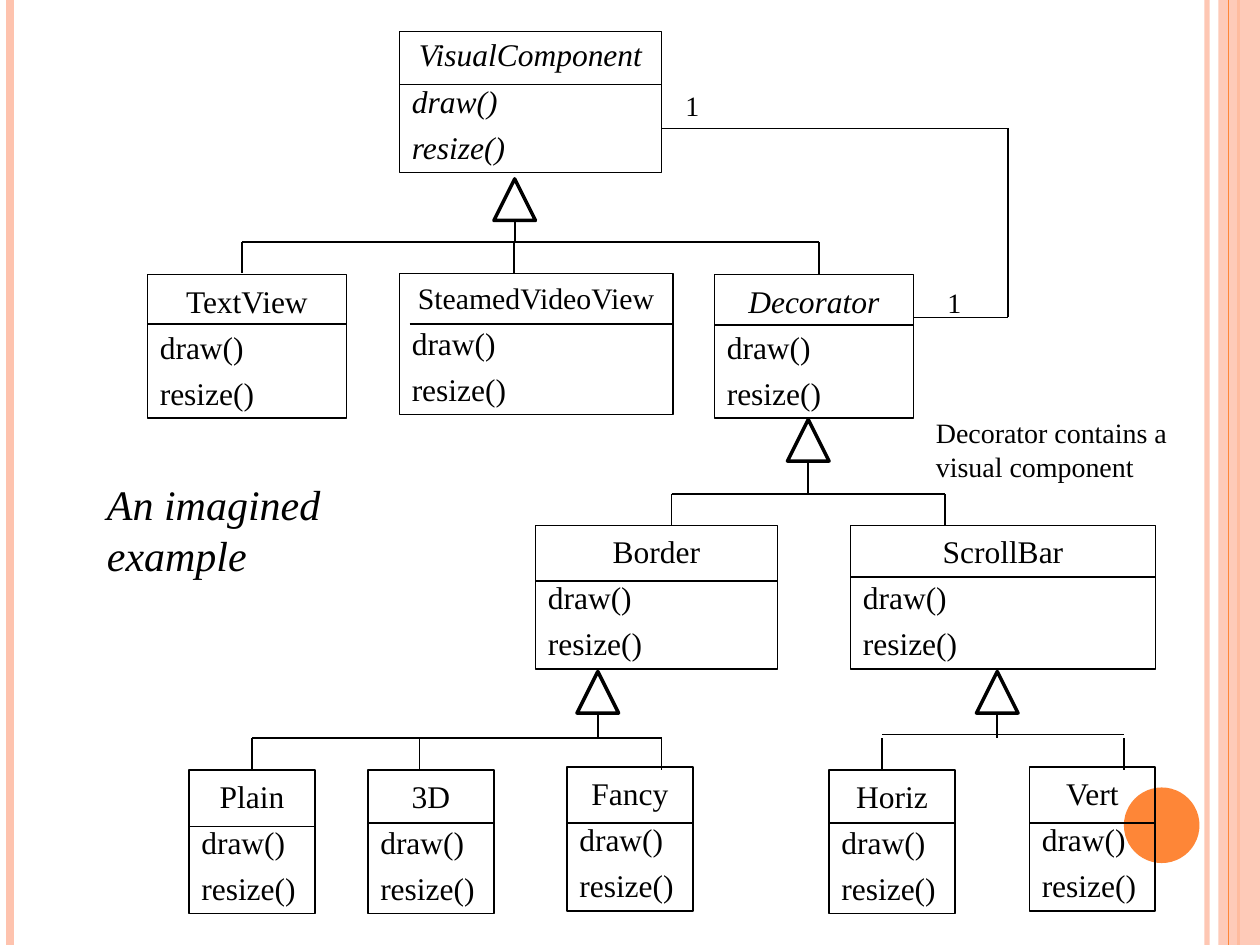
from lxml import etree
from pptx import Presentation
from pptx.dml.color import RGBColor
from pptx.enum import shapes as s, text as t
from pptx.oxml.ns import qn
from pptx.util import Inches, Pt

FONT = "Times New Roman"
INK, ORANGE, PEACH = "000000", "FE8637", "FEC3AE"
HEAD = 0.33  # side of an inheritance triangle

# name: left, top, width, height, divider offset, divider inset, italic lines, title size
CLASSES = {
    "VisualComponent": (3.17, 0.25, 2.08, 1.12, 0.42, 0, 3, 18),
    "TextView": (1.17, 2.18, 1.58, 1.14, 0.39, 0, 0, 18),
    "SteamedVideoView": (3.17, 2.17, 2.17, 1.12, 0.4, 0.08, 0, 17),
    "Decorator": (5.67, 2.18, 1.58, 1.14, 0.4, 0, 1, 18),
    "Border": (4.25, 4.17, 1.92, 1.14, 0.44, 0, 0, 18),
    "ScrollBar": (6.75, 4.17, 2.42, 1.14, 0.41, 0, 0, 18),
    "Plain": (1.5, 6.11, 1, 1.14, 0.45, 0, 0, 18),
    "3D": (2.92, 6.11, 1, 1.14, 0.42, 0, 0, 18),
    "Fancy": (4.5, 6.09, 1, 1.14, 0.44, 0, 0, 18),
    "Horiz": (6.58, 6.11, 1, 1.14, 0.42, 0, 0, 18),
    "Vert": (8.17, 6.09, 1, 1.14, 0.44, 0, 0, 18),
}


def color(hex_code):
    return RGBColor.from_string(hex_code)


def set_alpha(fill, percent):
    """Make a solid fill partly transparent, after its colour is set."""
    tint = fill._xPr.find(qn("a:solidFill"))[0]
    etree.SubElement(tint, qn("a:alpha")).set("val", str(percent * 1000))


def add_line(slide, x1, y1, x2, y2, hex_code=INK, width=1):
    line = slide.shapes.add_connector(
        s.MSO_CONNECTOR.STRAIGHT, Inches(x1), Inches(y1), Inches(x2), Inches(y2))
    line.line.color.rgb = color(hex_code)
    line.line.width = Pt(width)
    etree.SubElement(line._element.spPr, qn("a:effectLst"))
    return line


def add_shape(slide, kind, left, top, width, height, fill=None, outline=None):
    """Add a preset shape; outline is a black line width in points."""
    shape = slide.shapes.add_shape(
        kind, Inches(left), Inches(top), Inches(width), Inches(height))
    shape.shadow.inherit = False
    if fill:
        shape.fill.solid()
        shape.fill.fore_color.rgb = color(fill)
    else:
        shape.fill.background()
    if outline:
        shape.line.color.rgb = color(INK)
        shape.line.width = Pt(outline)
    else:
        shape.line.fill.background()
    return shape


def style(paragraph, size, italic=False, align=t.PP_ALIGN.LEFT):
    paragraph.alignment = align
    font = paragraph.font
    font.name, font.size, font.italic = FONT, Pt(size), italic
    font.color.rgb = color(INK)


def add_backdrop(slide):
    side_rule = add_line(slide, 9.58, 0, 9.58, 7.5, PEACH, 3)
    set_alpha(side_rule.line.fill, 93)
    add_line(slide, 0.08, 0, 0.08, 7.5, PEACH, 4.5)
    add_line(slide, 9.83, 0, 9.83, 7.5, ORANGE, 1.5)
    band = add_shape(slide, s.MSO_SHAPE.RECTANGLE, 9.67, 0, 0.33, 7.5, PEACH)
    set_alpha(band.fill, 87)
    add_line(slide, 9.75, 0, 9.75, 7.5, ORANGE, 0.75)
    add_shape(slide, s.MSO_SHAPE.OVAL, 8.92, 6.25, 0.6, 0.6, ORANGE)


def add_class(slide, name, left, top, width, height, divider, inset, italic_lines, size):
    box = add_shape(slide, s.MSO_SHAPE.RECTANGLE, left, top, width, height, outline=1)
    frame = box.text_frame
    frame.word_wrap = True
    frame.vertical_anchor = t.MSO_ANCHOR.MIDDLE
    frame.text = "\n".join((name, "draw()", "resize()"))
    title, *methods = frame.paragraphs
    style(title, size, italic_lines > 0, t.PP_ALIGN.CENTER)
    if italic_lines == 3:
        title.line_spacing = 0.95
    for method in methods:
        style(method, 18, italic_lines == 3)
        method.space_before = Pt(4.7)
    add_line(slide, left + inset, top + divider, left + width, top + divider)
    return box


def add_inheritance(slide, left, top, rail, drops, drop_top=None):
    """Triangle at left, top; a stem to the rail; and a drop (x, bottom) to each subclass."""
    drop_top = drop_top or rail
    add_shape(slide, s.MSO_SHAPE.ISOSCELES_TRIANGLE, left, top, HEAD, HEAD, outline=2)
    stem = left + HEAD / 2
    add_line(slide, stem, top + HEAD, stem, drop_top)
    add_line(slide, drops[0][0], rail, drops[-1][0], rail)
    return [add_line(slide, x, drop_top, x, bottom) for x, bottom in drops]


def add_containment(slide, left, top, right, bottom, decorator_edge):
    add_line(slide, left, top, right, top)
    add_line(slide, right, top, right, bottom)
    add_line(slide, decorator_edge, bottom, right, bottom)


def add_note(slide, words, left, top, width, height, size=16, italic=False,
             align=t.PP_ALIGN.LEFT):
    note = slide.shapes.add_textbox(
        Inches(left), Inches(top), Inches(width), Inches(height))
    note.text_frame.word_wrap = True
    note.text_frame.text = words
    style(note.text_frame.paragraphs[0], size, italic, align)


def main():
    deck = Presentation()
    deck.slide_width, deck.slide_height = Inches(10), Inches(7.5)
    slide = deck.slides.add_slide(deck.slide_layouts[6])

    add_backdrop(slide)
    boxes = {name: add_class(slide, name, *place) for name, place in CLASSES.items()}

    add_inheritance(slide, 3.92, 1.42, 1.92, [(1.92, 2.17), (4.08, 2.17), (6.5, 2.18)])
    add_inheritance(slide, 6.25, 3.33, 3.92, [(5.33, 4.17), (7.5, 4.17)])
    border_drops = add_inheritance(
        slide, 4.58, 5.33, 5.86, [(2, 6.11), (3.33, 6.11), (5.25, 6.11)])
    border_drops[0].end_connect(boxes["Plain"], 0)
    add_inheritance(slide, 7.75, 5.33, 5.83, [(7, 6.11), (8.92, 6.11)], drop_top=5.86)
    add_containment(slide, 5.25, 1.02, 8, 2.52, 7.25)

    add_note(slide, "1", 5.33, 0.65, 0.33, 0.37, align=t.PP_ALIGN.CENTER)
    add_note(slide, "1", 7.42, 2.22, 0.25, 0.37, align=t.PP_ALIGN.CENTER)
    add_note(slide, "Decorator contains a visual component", 7.33, 3.25, 2.17, 0.64)
    add_note(slide, "An imagined example", 0.75, 3.75, 2.08, 0.91, 24, True)

    deck.save("out.pptx")


if __name__ == "__main__":
    main()
